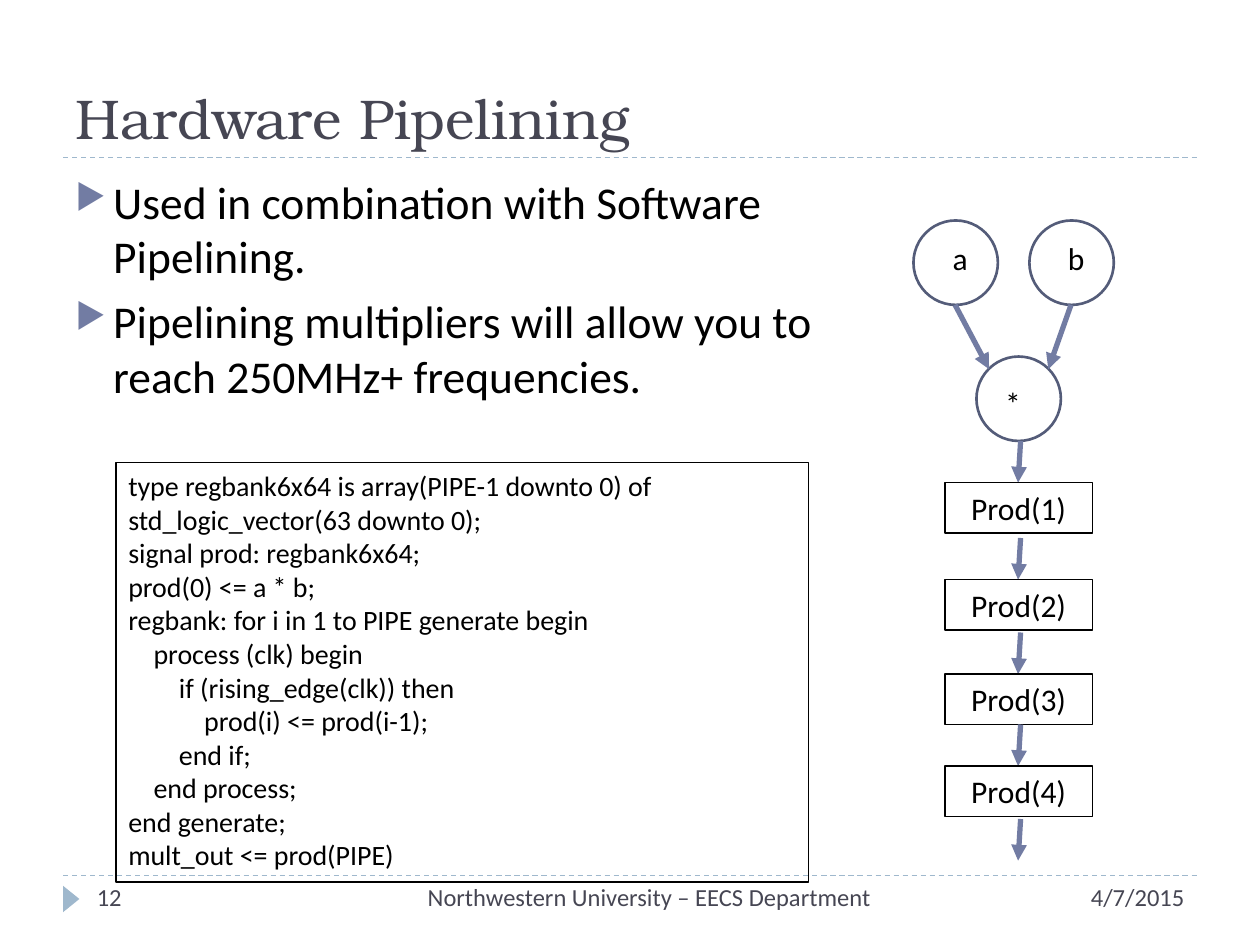
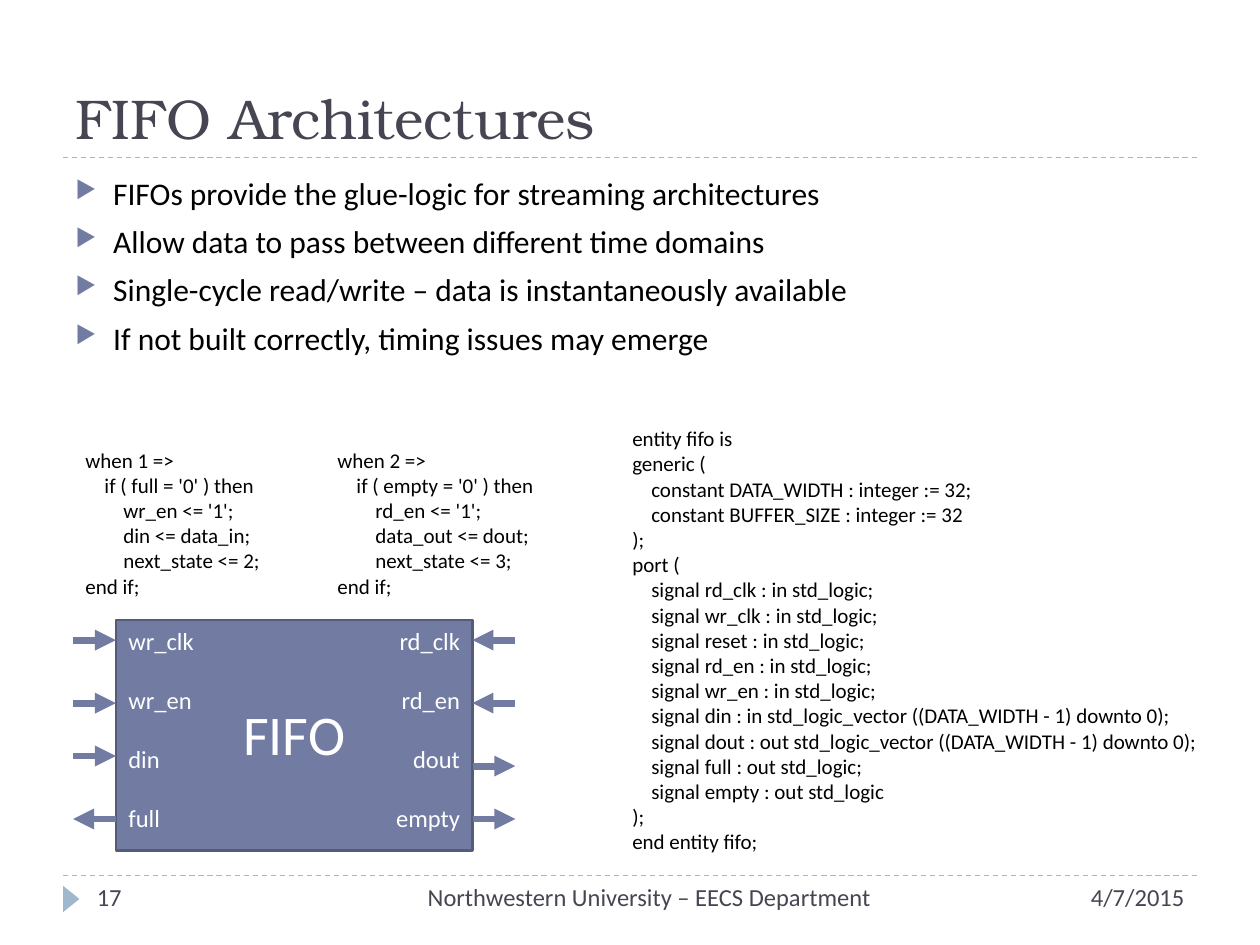
import pptx
import pptx.dml.color
import pptx.enum.dml
import pptx.enum.shapes
import pptx.enum.text
import pptx.oxml
import pptx.oxml.ns
import pptx.util

PX = 9144  # EMU in one px, 100 px to the inch
COLORS = {
    "ink": "000000", "title": "464653", "rule": "9FB8CD",
    "accent": "727CA3", "edge": "545C79", "white": "FFFFFF",
}
BODY_FONT, TITLE_FONT = "Calibri", "TeX Gyre Bonum"
FOOTER = "Northwestern University – EECS Department"
DATE = "4/7/2015"
SHAPE = pptx.enum.shapes.MSO_SHAPE
ALIGN = pptx.enum.text.PP_ALIGN
ANCHOR = pptx.enum.text.MSO_ANCHOR

PIPELINE_CODE = """\
type regbank6x64 is array(PIPE-1 downto 0) of std_logic_vector(63 downto 0);
signal prod: regbank6x64;
prod(0) <= a * b;
regbank: for i in 1 to PIPE generate begin
    process (clk) begin
        if (rising_edge(clk)) then
            prod(i) <= prod(i-1);
        end if;
    end process;
end generate;
mult_out <= prod(PIPE)"""

ENTITY_CODE = """\
entity fifo is
generic (
    constant DATA_WIDTH : integer := 32;
    constant BUFFER_SIZE : integer := 32
);
port (
    signal rd_clk : in std_logic;
    signal wr_clk : in std_logic;
    signal reset : in std_logic;
    signal rd_en : in std_logic;
    signal wr_en : in std_logic;
    signal din : in std_logic_vector ((DATA_WIDTH - 1) downto 0);
    signal dout : out std_logic_vector ((DATA_WIDTH - 1) downto 0);
    signal full : out std_logic;
    signal empty : out std_logic
);
end entity fifo;"""

WRITE_CODE = """\
when 1 =>
    if ( full = '0' ) then
        wr_en <= '1';
        din <= data_in;
        next_state <= 2;
end if;"""

READ_CODE = """\
when 2 =>
    if ( empty = '0' ) then
        rd_en <= '1';
        data_out <= dout;
        next_state <= 3;
end if;"""


def rgb(name):
    return pptx.dml.color.RGBColor.from_string(COLORS[name])


def add_xml(parent, tag, children="", **attributes):
    """Append one DrawingML element to parent."""
    values = "".join(f' {key}="{value}"' for key, value in attributes.items())
    namespace = pptx.oxml.ns.nsdecls("a")
    parent.append(pptx.oxml.parse_xml(
        f"<a:{tag} {namespace}{values}>{children}</a:{tag}>"))


class Deck:
    def __init__(self):
        self.show = pptx.Presentation()
        self.show.slide_width = 1000 * PX
        self.show.slide_height = 750 * PX
        self.slide = None

    def new_slide(self, title, number):
        """Start a slide with its title, rules and footer."""
        self.slide = self.show.slides.add_slide(self.show.slide_layouts[5])
        for y in (695, 125):
            self.line(50, y, 950, y, "rule", 0.75, dashed=True)
        self.shape(SHAPE.ISOSCELES_TRIANGLE, 46, 707, 21, 13,
                   fill="rule").rotation = 90

        heading = self.slide.shapes.title
        heading.left, heading.top = 50 * PX, 17 * PX
        heading.width, heading.height = 900 * PX, 108 * PX
        self.set_text(heading, title, 32, "title", font=TITLE_FONT,
                      anchor=ANCHOR.BOTTOM)

        self.text(700, 695, 250, 40, DATE, 14, "title", ALIGN.RIGHT)
        self.text(292, 695, 409, 40, FOOTER, 14, "title", ALIGN.RIGHT)
        self.text(67, 695, 217, 40, number, 14, "title")

    def set_text(self, box, text, size, color="ink", align=ALIGN.LEFT,
                 font=BODY_FONT, anchor=ANCHOR.TOP):
        """Fill a box with text, one paragraph a line."""
        frame = box.text_frame
        frame.text = text
        frame.word_wrap = True
        frame.auto_size = pptx.enum.text.MSO_AUTO_SIZE.NONE
        frame.vertical_anchor = anchor
        for paragraph in frame.paragraphs:
            paragraph.alignment = align
            for run in paragraph.runs:
                run.font.name = font
                run.font.size = pptx.util.Pt(size)
                run.font.color.rgb = rgb(color)
        return frame

    def text(self, x, y, w, h, text, size, color="ink", align=ALIGN.LEFT):
        box = self.slide.shapes.add_textbox(x * PX, y * PX, w * PX, h * PX)
        return self.set_text(box, text, size, color, align)

    def code(self, x, y, w, h, source, size):
        """Place a listing whose leading spaces become paragraph indents."""
        lines = source.split("\n")
        frame = self.text(x, y, w, h,
                          "\n".join(line.strip() for line in lines), size)
        for paragraph, line in zip(frame.paragraphs, lines):
            spaces = len(line) - len(line.lstrip())
            indent = pptx.util.Pt(spaces * 0.226 * size)
            paragraph._p.get_or_add_pPr().set("marL", str(indent))

    def bullets(self, x, y, w, h, items, size):
        frame = self.text(x, y, w, h, "\n".join(items), size)
        for paragraph in frame.paragraphs:
            paragraph.space_before = pptx.util.Pt(6)
            props = paragraph._p.get_or_add_pPr()
            props.set("marL", str(30 * PX))
            props.set("indent", str(-30 * PX))
            add_xml(props, "buClr", f'<a:srgbClr val="{COLORS["accent"]}"/>')
            add_xml(props, "buSzPct", val=76000)
            add_xml(props, "buChar", char="▶")

    def shape(self, kind, x, y, w, h, fill=None, line=None, weight=0.75):
        shape = self.slide.shapes.add_shape(kind, x * PX, y * PX, w * PX, h * PX)
        shape.shadow.inherit = False
        if fill:
            shape.fill.solid()
            shape.fill.fore_color.rgb = rgb(fill)
        else:
            shape.fill.background()
        if line:
            shape.line.color.rgb = rgb(line)
            shape.line.width = pptx.util.Pt(weight)
        else:
            shape.line.fill.background()
        return shape

    def line(self, x1, y1, x2, y2, color, weight, dashed=False, arrow=False):
        line = self.slide.shapes.add_connector(
            pptx.enum.shapes.MSO_CONNECTOR.STRAIGHT,
            x1 * PX, y1 * PX, x2 * PX, y2 * PX)
        line.line.color.rgb = rgb(color)
        line.line.width = pptx.util.Pt(weight)
        if dashed:
            line.line.dash_style = pptx.enum.dml.MSO_LINE.DASH
        props = line._element.spPr
        if arrow:
            add_xml(props.find(pptx.oxml.ns.qn("a:ln")), "tailEnd", type="triangle")
        add_xml(props, "effectLst")

    def arrow(self, x1, y1, x2, y2, weight=3):
        self.line(x1, y1, x2, y2, "accent", weight, arrow=True)


def hardware_pipelining(deck):
    deck.new_slide("Hardware Pipelining", "12")
    deck.bullets(50, 133, 658, 175, [
        "Used in combination with Software Pipelining.",
        "Pipelining multipliers will allow you to reach 250MHz+ frequencies.",
    ], 26)

    # VHDL listing in a frame
    deck.shape(SHAPE.RECTANGLE, 92, 367, 550, 333, line="ink")
    deck.code(92, 367, 550, 333, PIPELINE_CODE, 16)

    # Operands and multiplier
    for label, x, y, label_x, label_y in (("a", 725, 175, 733, 185),
                                          ("b", 817, 175, 825, 185),
                                          ("*", 775, 283, 775, 300)):
        deck.shape(SHAPE.OVAL, x, y, 67, 67, line="edge", weight=1.5)
        deck.text(label_x, label_y, 58, 40, label, 18, align=ALIGN.CENTER)
    deck.arrow(758, 242, 785, 293)
    deck.arrow(850, 242, 832, 293)

    # Chain of product registers
    for stage, top in enumerate((383, 460, 535, 608), start=1):
        deck.arrow(810, top - 33, 808, top)
        register = deck.shape(SHAPE.RECTANGLE, 750, top, 117, 40, line="ink")
        deck.set_text(register, f"Prod({stage})", 18, align=ALIGN.CENTER)
    deck.arrow(810, 650, 808, 683)


def fifo_architectures(deck):
    deck.new_slide("FIFO Architectures", "17")
    deck.bullets(50, 133, 900, 540, [
        "FIFOs provide the glue-logic for streaming architectures",
        "Allow data to pass between different time domains",
        "Single-cycle read/write – data is instantaneously available",
        "If not built correctly, timing issues may emerge",
    ], 18)

    # VHDL listings
    deck.code(492, 333, 500, 353, ENTITY_CODE, 12)
    deck.code(58, 350, 192, 131, WRITE_CODE, 12)
    deck.code(258, 350, 192, 131, READ_CODE, 12)

    # FIFO block and its port names
    left, right, reach = 92, 375, 34
    deck.shape(SHAPE.RECTANGLE, left, 492, right - left, 183,
               fill="accent", line="edge", weight=1.5)
    deck.text(left, 550, right - left, 64, "FIFO", 32, "white", ALIGN.CENTER)
    for x, ports, align in (
            (left, "wr_clk\nwr_en\ndin\nfull", ALIGN.LEFT),
            (right - 125, "rd_clk\nrd_en\ndout\nempty", ALIGN.RIGHT)):
        names = deck.text(x, 492, 125, 175, ports, 14, "white", align)
        for paragraph in names.paragraphs[1:]:
            paragraph.space_before = pptx.util.Pt(16.8)

    # Port arrows: inputs point at the block, outputs away from it
    for edge, outer, inputs, outputs in (
            (left, left - reach, (508, 558, 600), (650,)),
            (right, right + reach, (508, 558), (608, 650))):
        for y in inputs:
            deck.arrow(outer, y, edge, y, 4)
        for y in outputs:
            deck.arrow(edge, y, outer, y, 4)


def main():
    deck = Deck()
    hardware_pipelining(deck)
    fifo_architectures(deck)
    deck.show.save("out.pptx")


if __name__ == "__main__":
    main()
